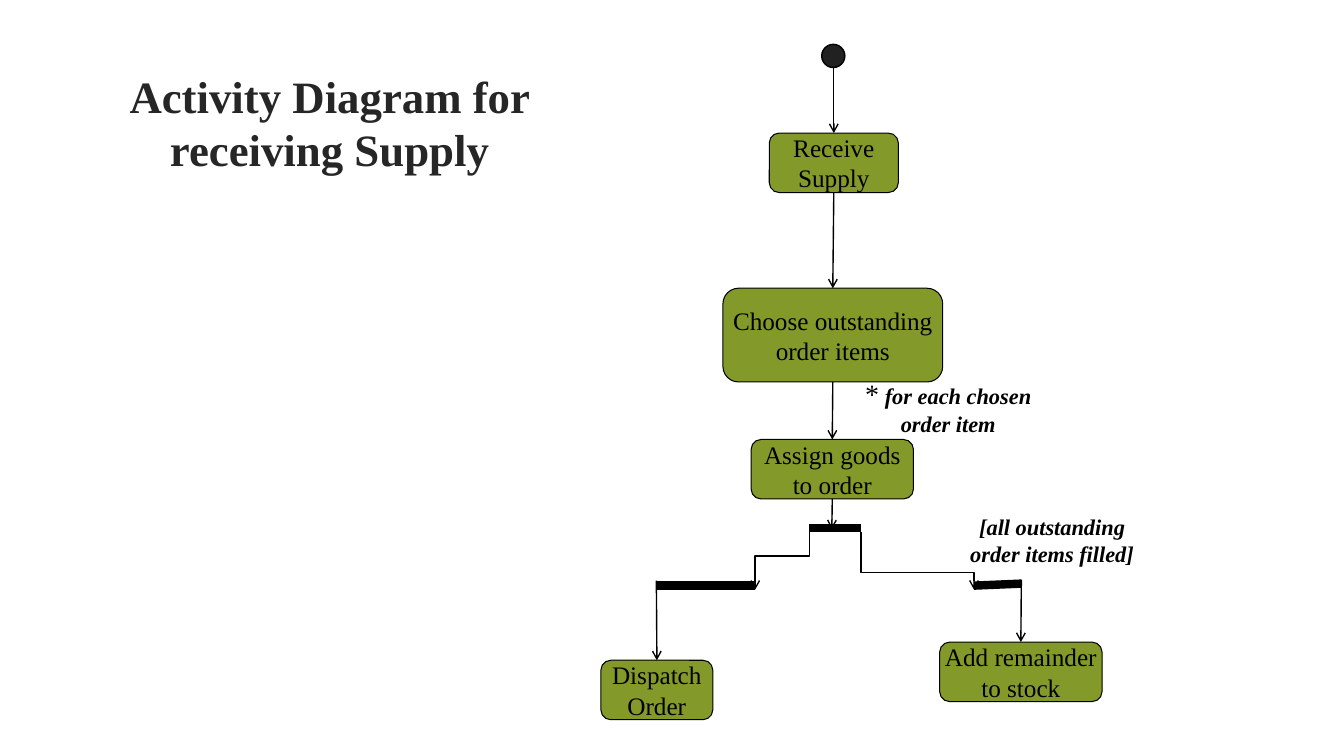
from lxml import etree
from pptx import Presentation
from pptx.dml.color import RGBColor
from pptx.enum.shapes import MSO_CONNECTOR, MSO_SHAPE
from pptx.enum.text import MSO_ANCHOR, MSO_AUTO_SIZE, PP_ALIGN
from pptx.oxml.ns import qn
from pptx.util import Inches, Pt

COLORS = {"title": "262626", "ink": "000000", "activity": "83992A", "start": "212121"}

deck = Presentation()
deck.slide_width = Inches(13.33)
deck.slide_height = Inches(7.5)
slide = deck.slides.add_slide(deck.slide_layouts[6])
shapes = slide.shapes


def add_run(paragraph, text, size, color="ink", bold=False, italic=False):
    paragraph.alignment = PP_ALIGN.CENTER
    run = paragraph.add_run()
    run.text = text
    run.font.name = "Times New Roman"
    run.font.size = Pt(size)
    run.font.bold = bold
    run.font.italic = italic
    run.font.color.rgb = RGBColor.from_string(COLORS[color])


def add_line(kind, start, end, width, arrow=True):
    line = shapes.add_connector(kind, *[Inches(v) for v in (*start, *end)])
    line.line.color.rgb = RGBColor.from_string(COLORS["ink"])
    line.line.width = Pt(width)
    if arrow:
        etree.SubElement(line.line._get_or_add_ln(), qn("a:tailEnd"), type="arrow")
    etree.SubElement(line._element.spPr, qn("a:effectLst"))
    return line


title = shapes.add_textbox(Inches(0.58), Inches(0.67), Inches(5.38), Inches(1.08)).text_frame
title.word_wrap = True
title.vertical_anchor = MSO_ANCHOR.MIDDLE
add_run(title.paragraphs[0], "Activity Diagram for receiving Supply", 32, "title", bold=True)

start = shapes.add_shape(MSO_SHAPE.OVAL, Inches(8.15), Inches(0.44), Inches(0.23), Inches(0.23))
start.shadow.inherit = False
start.fill.solid()
start.fill.fore_color.rgb = RGBColor.from_string(COLORS["start"])
start.line.color.rgb = RGBColor.from_string(COLORS["ink"])
start.line.width = Pt(1)

activities = {}
for key, box, lines in [
    ("receive", (7.63, 1.32, 1.28, 0.59), ("Receive", "Supply")),
    ("choose", (7.17, 2.86, 2.18, 0.93), ("Choose outstanding", "order items")),
    ("assign", (7.45, 4.36, 1.61, 0.59), ("Assign goods", "to order")),
    ("stock", (9.32, 6.37, 1.61, 0.59), ("Add remainder", "to stock")),
    ("dispatch", (5.96, 6.55, 1.11, 0.59), ("Dispatch", "Order")),
]:
    activity = shapes.add_shape(MSO_SHAPE.ROUNDED_RECTANGLE, *[Inches(v) for v in box])
    activity.shadow.inherit = False
    activity.fill.solid()
    activity.fill.fore_color.rgb = RGBColor.from_string(COLORS["activity"])
    activity.line.color.rgb = RGBColor.from_string(COLORS["ink"])
    activity.line.width = Pt(0.75)
    label = activity.text_frame
    label.word_wrap = False
    label.vertical_anchor = MSO_ANCHOR.MIDDLE
    add_run(label.paragraphs[0], lines[0], 18)
    add_run(label.add_paragraph(), lines[1], 18)
    activities[key] = activity

for box, runs in [
    ((8.42, 3.69, 1.97, 0.7), [("*", 20, False), (" for each chosen order item", 16, True)]),
    ((9.51, 5.04, 1.85, 0.64), [("[all outstanding order items filled]", 16, True)]),
]:
    note = shapes.add_textbox(*[Inches(v) for v in box]).text_frame
    note.word_wrap = True
    note.auto_size = MSO_AUTO_SIZE.SHAPE_TO_FIT_TEXT
    for text, size, strong in runs:
        add_run(note.paragraphs[0], text, size, bold=strong, italic=strong)

for bar_start, bar_end in [
    ((8.03, 5.24), (8.54, 5.24)),
    ((6.51, 5.81), (7.49, 5.81)),
    ((9.66, 5.81), (10.13, 5.79)),
]:
    add_line(MSO_CONNECTOR.STRAIGHT, bar_start, bar_end, 6, arrow=False)

for source, target, flow_start, flow_end in [
    (None, "receive", (8.27, 0.67), (8.26, 1.32)),
    ("receive", "choose", (8.27, 1.91), (8.26, 2.86)),
    ("choose", "assign", (8.26, 3.79), (8.26, 4.36)),
    ("assign", None, (8.26, 4.95), (8.25, 5.25)),
    (None, "stock", (10.13, 5.75), (10.12, 6.37)),
    (None, "dispatch", (6.51, 5.76), (6.51, 6.55)),
]:
    flow = add_line(MSO_CONNECTOR.STRAIGHT, flow_start, flow_end, 1)
    if source:
        flow.begin_connect(activities[source], 2)
    if target:
        flow.end_connect(activities[target], 0)

for (x1, y1), (x2, y2), bend in [
    ((8.54, 5.28), (9.66, 5.85), 70400),
    ((8.03, 5.2), (7.49, 5.85), 48700),
]:
    middle_x, middle_y = (x1 + x2) / 2, (y1 + y2) / 2
    half_run, half_drop = (x2 - x1) / 2, (y2 - y1) / 2
    branch = add_line(
        MSO_CONNECTOR.ELBOW,
        (middle_x + half_drop, middle_y - half_run),
        (middle_x - half_drop, middle_y + half_run),
        1,
    )
    geometry = branch._element.spPr
    geometry.find(qn("a:xfrm")).set("rot", "16200000")
    adjustments = geometry.find(qn("a:prstGeom")).find(qn("a:avLst"))
    etree.SubElement(adjustments, qn("a:gd"), name="adj1", fmla=f"val {bend}")

deck.save("out.pptx")
